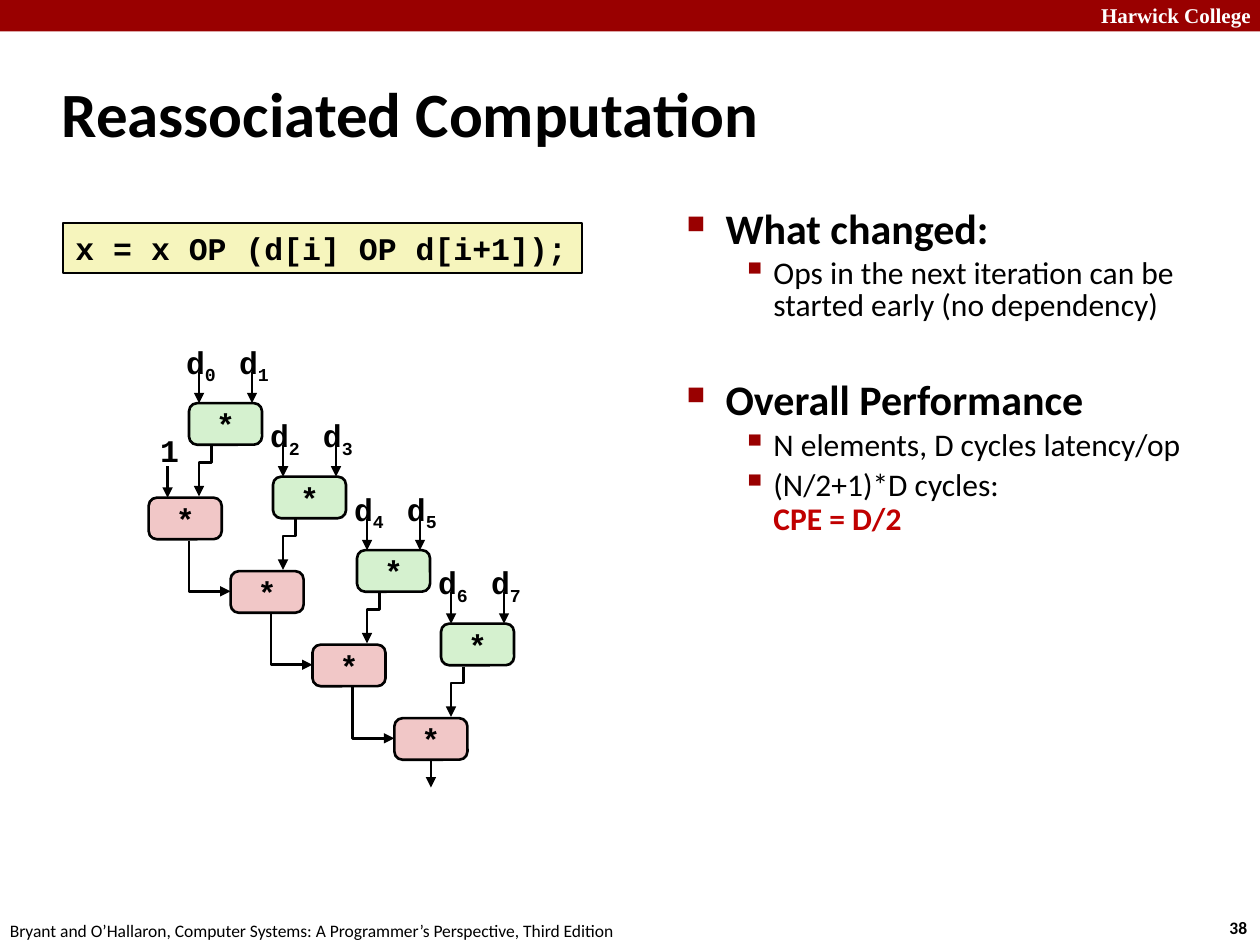
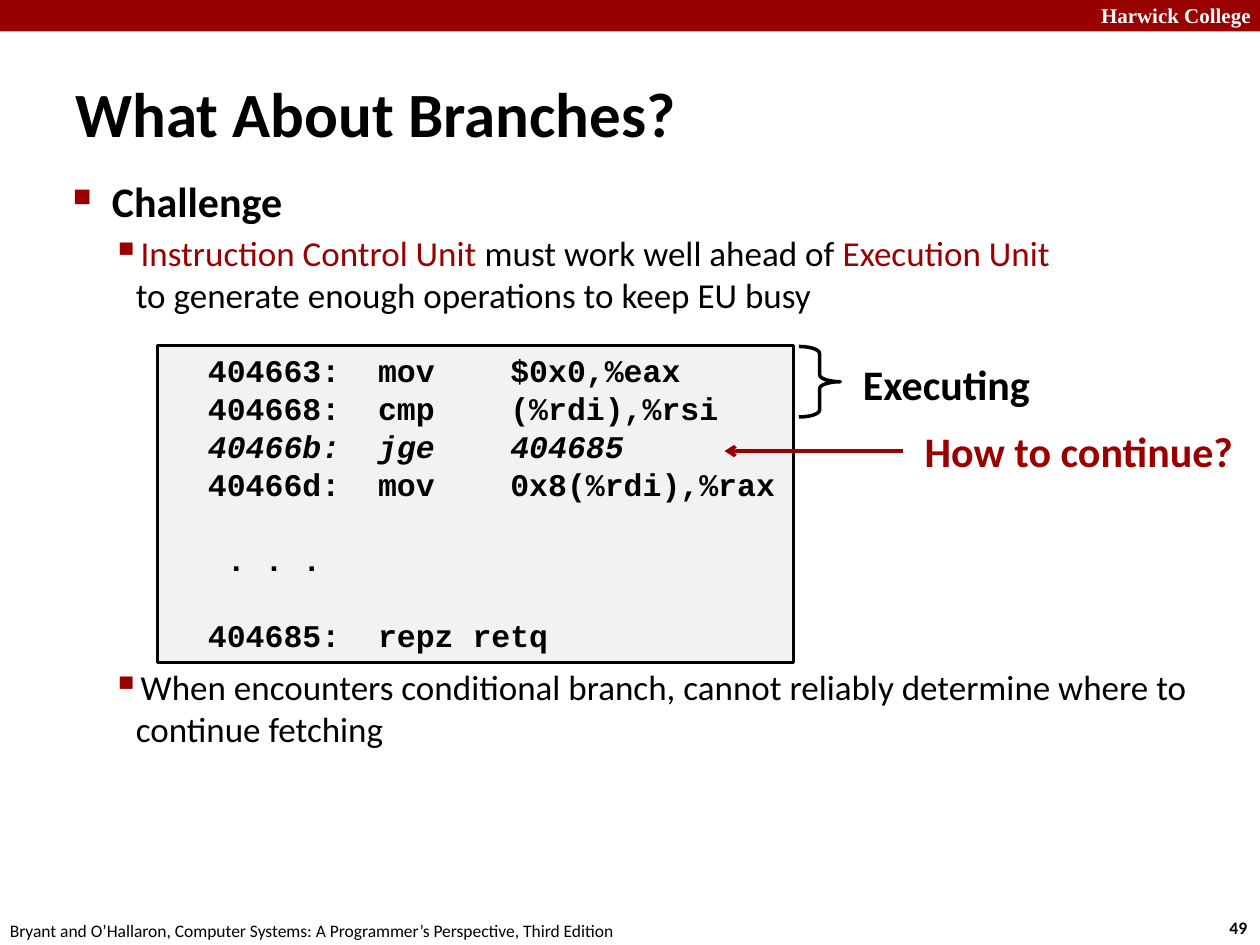
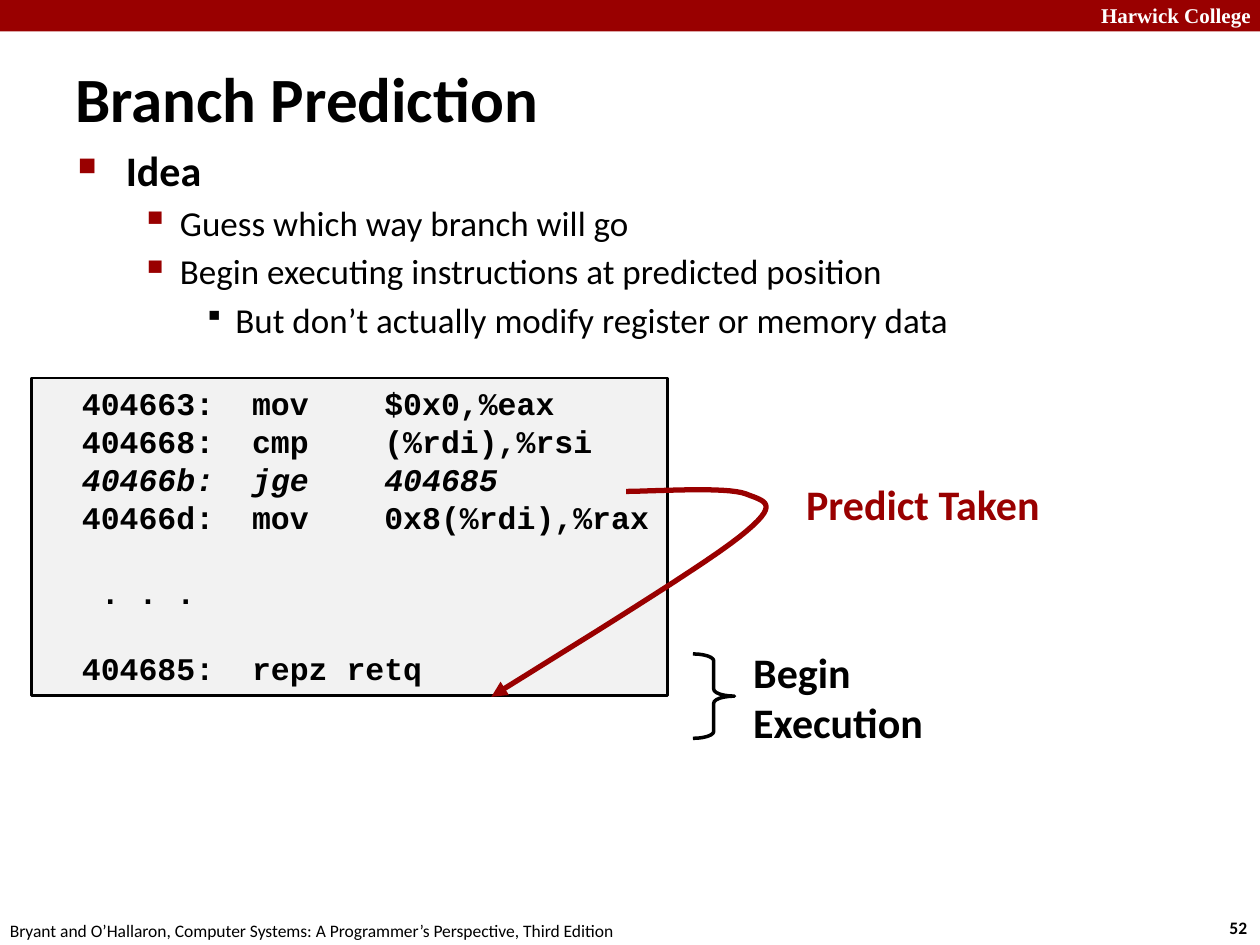
from lxml import etree
from pptx import Presentation
from pptx import util as u
from pptx.dml.color import RGBColor
from pptx.enum import shapes, text
from pptx.oxml import ns

COLORS = {
    "black": "000000", "white": "FFFFFF", "band": "990000", "result": "C00000",
    "red_op": "F1C7C7", "green_op": "D5F1CF", "statement": "F6F5BD", "listing": "F2F2F2",
}
SANS, MONO, SERIF = "Calibri", "Courier New", "Times New Roman"
KIND = shapes.MSO_SHAPE
CENTER = text.PP_ALIGN.CENTER
TOP, MIDDLE = text.MSO_ANCHOR.TOP, text.MSO_ANCHOR.MIDDLE
THIN = (0.05,) * 4
NORMAL = (0.1, 0.05, 0.1, 0.05)
FOOTER = "Bryant and O’Hallaron, Computer Systems: A Programmer’s Perspective, Third Edition"

# glyph, colour, percent of the text size
BULLETS = [("■", "band", 60), ("▪", "band", 110), ("▪", "black", 80)]

CODE_PITCH = 21.6
CODE_TABS = (1.35, 2.4)
CODE = [
    ("404663:\tmov\t$0x0,%eax", {}, {}),
    ("404668:\tcmp\t(%rdi),%rsi", {}, {}),
    ("40466b:\tjge\t404685", {"italic": True}, {}),
    ("40466d:\tmov\t0x8(%rdi),%rax", {}, {}),
    (". . .", {}, {"margin": 0.15, "before": CODE_PITCH}),
    ("404685:\trepz retq", {}, {"before": CODE_PITCH}),
]


def rgb(color):
    return RGBColor.from_string(COLORS[color])


def add_xml(parent, tag, **attributes):
    return etree.SubElement(parent, ns.qn(f"a:{tag}"), attributes)


def bezier(start, curves, steps=16):
    """Points along joined cubic curves, each given as two controls and an end."""
    points = [start]
    for c1, c2, end in curves:
        for step in range(1, steps + 1):
            t = step / steps
            weights = ((1 - t) ** 3, 3 * t * (1 - t) ** 2, 3 * t * t * (1 - t), t ** 3)
            corners = (start, c1, c2, end)
            points.append(tuple(sum(w * c[axis] for w, c in zip(weights, corners))
                                for axis in (0, 1)))
        start = end
    return points


class Deck:
    def __init__(self):
        self.prs = Presentation()
        self.prs.slide_width, self.prs.slide_height = u.Inches(10), u.Inches(7.5)
        self.slide = None

    def new_slide(self, number):
        self.slide = self.prs.slides.add_slide(self.prs.slide_layouts[6])
        self.shape(KIND.RECTANGLE, (0, 0, 10, 0.25), "band")
        self.label((8.64, -0.03, 1.43, 0.3), "Harwick College",
                   size=12, name=SERIF, color="white")
        self.label((9.66, 7.23, 0.37, 0.27), str(number), size=10)
        self.label((-0.02, 7.25, 5.08, 0.27), FOOTER, size=10, bold=False)

    def run(self, paragraph, words, **formats):
        """Add one run; a closing newline becomes a line break."""
        run = paragraph.add_run()
        run.text = words.rstrip("\n")
        style = {"name": SANS, "size": 24, "bold": True, "color": "black", **formats}
        run.font.color.rgb = rgb(style.pop("color"))
        style["size"] = u.Pt(style["size"])
        for attribute, value in style.items():
            setattr(run.font, attribute, value)
        if words.endswith("\n"):
            paragraph.add_line_break()
        return run

    def frame(self, shape, insets=NORMAL, wrap=False, anchor=TOP):
        frame = shape.text_frame
        frame.word_wrap, frame.vertical_anchor = wrap, anchor
        for side, inset in zip(("left", "top", "right", "bottom"), insets):
            setattr(frame, f"margin_{side}", u.Inches(inset))
        return frame

    def paragraphs(self, frame, count):
        return [frame.paragraphs[0]] + [frame.add_paragraph() for _ in range(count - 1)]

    def text_box(self, at, **layout):
        box = self.slide.shapes.add_textbox(*map(u.Inches, at))
        return self.frame(box, **layout)

    def label(self, at, *lines, **formats):
        frame = self.text_box(at)
        for paragraph, line in zip(self.paragraphs(frame, len(lines)), lines):
            self.run(paragraph, line, **formats)

    def title(self, at, words):
        frame = self.text_box(at, wrap=True, anchor=MIDDLE)
        self.run(frame.paragraphs[0], words, size=36)

    def body(self, at, items, margins, sizes):
        """Bulleted text; margins holds the left margin and hanging indent per level."""
        frame = self.text_box(at, wrap=True)
        for paragraph, (level, runs, spacing) in zip(self.paragraphs(frame, len(items)), items):
            size = sizes[level]
            for words, formats in runs:
                self.run(paragraph, words, **{"size": size, "bold": level == 0, **formats})
            paragraph.level = level
            paragraph.space_before = u.Pt(spacing.get("before", round(size * 0.18, 2)))
            paragraph.line_spacing = spacing.get("line", 1.0)
            glyph, color, percent = BULLETS[level]
            margin, hang = margins[level]
            props = paragraph._p.get_or_add_pPr()
            props.set("marL", str(u.Inches(margin)))
            props.set("indent", str(-u.Inches(hang)))
            add_xml(add_xml(props, "buClr"), "srgbClr", val=COLORS[color])
            add_xml(props, "buSzPct", val=str(percent * 1000))
            add_xml(props, "buChar", char=glyph)

    def shape(self, kind, at, fill=None, line=None, adjustments=()):
        shape = self.slide.shapes.add_shape(kind, *map(u.Inches, at))
        for index, value in enumerate(adjustments):
            shape.adjustments[index] = value
        self.paint(shape, fill, line)
        return shape

    def paint(self, shape, fill, line, color="black"):
        shape.shadow.inherit = False
        if fill:
            shape.fill.solid()
            shape.fill.fore_color.rgb = rgb(fill)
        else:
            shape.fill.background()
        if line:
            self.stroke(shape, line, color)
        else:
            shape.line.fill.background()

    def stroke(self, shape, width, color, head=None):
        shape.line.color.rgb = rgb(color)
        shape.line.width = u.Pt(width)
        if head:
            add_xml(shape.line._get_or_add_ln(), "tailEnd", type=head)

    def arrow(self, start, end, color="black", width=1.5, head="triangle", source=None):
        """Straight arrow; source is a shape whose bottom side it leaves."""
        line = self.slide.shapes.add_connector(
            shapes.MSO_CONNECTOR.STRAIGHT, *map(u.Inches, (*start, *end)))
        if source:
            line.begin_connect(source, 2)
        self.stroke(line, width, color, head)
        add_xml(line._element.spPr, "effectLst")

    def path_arrow(self, points, color="black", width=1.5):
        start, *rest = [tuple(map(u.Inches, point)) for point in points]
        builder = self.slide.shapes.build_freeform(*start)
        builder.add_line_segments(rest, close=False)
        outline = builder.convert_to_shape()
        self.paint(outline, None, width, color)
        self.stroke(outline, width, color, "triangle")

    def operation(self, x, y, fill):
        box = self.shape(KIND.ROUNDED_RECTANGLE, (x, y, 0.58, 0.33), fill, 1.5, [0.196])
        paragraph = self.frame(box, anchor=MIDDLE).paragraphs[0]
        paragraph.alignment = CENTER
        self.run(paragraph, "*", size=18, name=MONO)
        return box

    def operand(self, x, y, symbol, subscript="", width=0.35):
        paragraph = self.text_box((x, y, width, 0.4), insets=THIN).paragraphs[0]
        paragraph.alignment = CENTER
        self.run(paragraph, symbol, size=18, name=MONO)
        if subscript:
            lowered = self.run(paragraph, subscript, size=18, name=MONO)
            lowered.font._element.set("baseline", "-25000")

    def statement(self, at, words):
        box = self.shape(KIND.RECTANGLE, at, "statement", 1)
        paragraph = self.frame(box, anchor=MIDDLE).paragraphs[0]
        paragraph.alignment = text.PP_ALIGN.LEFT
        self.run(paragraph, words, size=18, name=MONO)

    def listing(self, x, y):
        box = self.shape(KIND.RECTANGLE, (x, y, 5.05, 2.52), "listing", 1.5)
        frame = self.frame(box, insets=(0.4, 0.05, 0.1, 0.05), wrap=True)
        for paragraph, (words, formats, spacing) in zip(
                self.paragraphs(frame, len(CODE)), CODE):
            paragraph.alignment = text.PP_ALIGN.LEFT
            paragraph.line_spacing = u.Pt(CODE_PITCH)
            paragraph.space_before = u.Pt(spacing.get("before", 0))
            self.run(paragraph, words, size=18, name=MONO, **formats)
            props = paragraph._p.get_or_add_pPr()
            props.set("marL", str(u.Inches(spacing.get("margin", 0))))
            tabs = add_xml(props, "tabLst")
            for stop in CODE_TABS:
                add_xml(tabs, "tab", pos=str(u.Inches(stop)), algn="l")

    def brace(self, at):
        self.shape(KIND.RIGHT_BRACE, at, None, 2, [0.167, 0.5])


def data_flow(deck):
    """Pairs of inputs are combined first (green), then chained (red)."""
    pairs, drop = 4, 7 / 12
    for n in range(pairs):
        x, y = 1.18 + 0.65 * n, 3.95 + drop * n
        chained = deck.operation(x, y, "red_op")
        if n < pairs - 1:
            turn, level = x + 0.32, y + drop + 0.16
            deck.path_arrow([(turn, y + 0.34), (turn, level), (x + 0.65, level)])
    deck.arrow((3.42, 6), (3.42, 6.25), source=chained)
    deck.operand(1.22, 3.37, "1", width=0.25)
    deck.arrow((1.33, 3.7), (1.33, 3.95))

    for n in range(pairs):
        x, y = 1.5 + 2 / 3 * n, 3.2 + drop * n
        deck.operation(x, y, "green_op")
        for side in (0, 1):
            shift = 0.42 * side
            deck.operand(x - 0.08 + shift, y - 0.53, "d", str(2 * n + side))
            deck.arrow((x + 0.08 + shift, y - 0.25), (x + 0.08 + shift, y))
        deck.path_arrow([(x + 0.18, y + 0.34), (x + 0.18, y + 0.47),
                         (x + 0.08, y + 0.47), (x + 0.08, y + 0.74)])


def reassociated_computation(deck):
    deck.new_slide(38)
    deck.title((0.39, 0.48, 8.3, 0.83), "Reassociated Computation")
    tight, close = {"line": 0.85}, {"line": 0.9}
    deck.body((5.35, 1.62, 4.32, 5.71), [
        (0, [("What changed:", {})], tight),
        (1, [("Ops in the next iteration can be started early (no dependency)", {})], tight),
        (0, [("Overall Performance", {})], {"line": 0.85, "before": 33}),
        (1, [("N elements, D cycles latency/op", {})], close),
        (1, [("(N/2+1)*D cycles:\n", {}),
             ("CPE = D/2", {"color": "result", "bold": True})], close),
    ], margins=[(0.31, 0.31), (0.69, 0.25)], sizes=[24, 18])
    data_flow(deck)
    deck.statement((0.5, 1.77, 4.12, 0.4), "x = x OP (d[i] OP d[i+1]);")


def what_about_branches(deck):
    deck.new_slide(49)
    unit = {"color": "band"}
    deck.body((0.48, 1.34, 9.43, 5.62), [
        (0, [("Challenge", {})], {}),
        (1, [("Instruction Control Unit ", unit), ("must work well ahead of ", {}),
             ("Execution Unit\n", unit),
             ("to generate enough operations to keep EU busy", {})], {}),
        (1, [("When encounters conditional branch, cannot reliably determine "
              "where to continue fetching", {})], {"before": 200}),
    ], margins=[(0.31, 0.31), (0.5, 0.19)], sizes=[24, 20])
    deck.listing(1.25, 2.74)
    deck.title((0.5, 0.58, 7.02, 0.63), "What About Branches?")
    deck.brace((6.34, 2.75, 0.33, 0.56))
    deck.label((6.75, 2.8, 1.54, 0.5), "Executing")
    deck.label((7.24, 3.33, 2.67, 0.5), "How to continue?", color="band")
    deck.arrow((7.17, 3.58), (5.75, 3.58), "band", 2, "arrow")


def branch_prediction(deck):
    deck.new_slide(52)
    deck.title((0.5, 0.46, 6.16, 0.63), "Branch Prediction")
    deck.body((0.52, 1.1, 9.09, 2.24), [
        (0, [("Idea", {})], {}),
        (1, [("Guess which way branch will go", {})], {}),
        (1, [("Begin executing instructions at predicted position", {})], {}),
        (2, [("But don’t actually modify register or memory data", {})], {}),
    ], margins=[(0.38, 0.38), (0.81, 0.31), (1.25, 0.25)], sizes=[24, 20, 20])
    deck.label((6.3, 3.75, 2.07, 0.5), "Predict Taken", color="band")
    deck.brace((5.5, 5.19, 0.33, 0.67))
    deck.label((5.88, 5.08, 1.56, 0.91), "Begin", "Execution")
    deck.listing(0.25, 3)
    jump = bezier((4.97, 3.9), [
        ((5.17, 3.9), (5.77, 3.86), (5.92, 3.92)),
        ((6.07, 3.98), (6.21, 3.99), (5.87, 4.26)),
        ((5.53, 4.53), (4.23, 5.32), (3.9, 5.53)),
    ])
    deck.path_arrow(jump, "band", 3)


def main():
    deck = Deck()
    for build in (reassociated_computation, what_about_branches, branch_prediction):
        build(deck)
    deck.prs.save("out.pptx")


if __name__ == "__main__":
    main()
